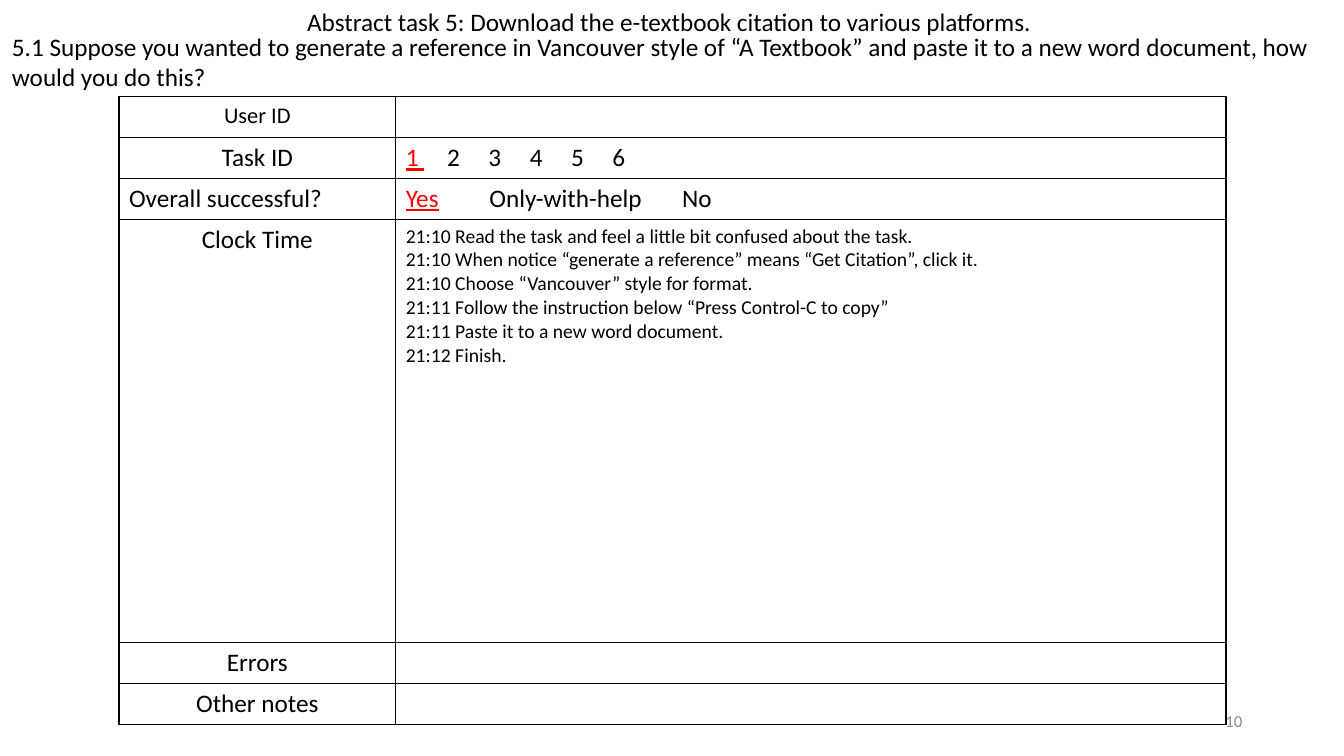
from pptx import Presentation
from pptx.dml.color import RGBColor as RGB
from pptx.enum.text import MSO_ANCHOR as ANCHOR, PP_ALIGN as AL
from pptx.oxml import parse_xml
from pptx.oxml.ns import nsdecls
from pptx.util import Inches, Pt

THEME = dict(font="Calibri", ink=RGB(0, 0, 0), mark=RGB(255, 0, 0), muted=RGB(0x8C, 0x8C, 0x8C),
             body=18, label=16, log=14, page=12, rule=12700)
W, H = Inches(13.33), Inches(7.5)


def add_run(p, text, size="body", color="ink", underline=False):
    r = p.add_run()
    r.text = text
    r.font.name, r.font.size = THEME["font"], Pt(THEME[size])
    r.font.color.rgb = THEME[color]
    if underline:
        r.font.underline = True


def add_text(s, box, text, align, size="body", color="ink", anchor=ANCHOR.TOP):
    tf = s.shapes.add_textbox(*(Inches(v) for v in box)).text_frame
    tf.word_wrap, tf.vertical_anchor = True, anchor
    tf.paragraphs[0].alignment = align
    add_run(tf.paragraphs[0], text, size, color)


prs = Presentation()
prs.slide_width, prs.slide_height = W, H
s = prs.slides.add_slide(prs.slide_layouts[6])

# Table grid: label column is a quarter of the width, the log row is the tall one
LABELS = ["User ID", "Task ID", "Overall successful?", "Clock Time", "Errors", "Other notes"]
ROW, LOG_ROW, TABLE_W = 0.4, 4.2, 10.98
table = s.shapes.add_table(len(LABELS), 2, Inches(1.18), Inches(0.96), Inches(TABLE_W),
                           Inches(ROW * 5 + LOG_ROW)).table
table.first_row = table.horz_banding = False
for col, share in zip(table.columns, (1 / 4, 3 / 4)):
    col.width = Inches(TABLE_W * share)
for row, label in zip(table.rows, LABELS):
    row.height = Inches(LOG_ROW if label == "Clock Time" else ROW)

# Cell borders and clear fills
for cell in table.iter_cells():
    for side in ("lnL", "lnR", "lnT", "lnB"):
        cell._tc.get_or_add_tcPr().append(parse_xml(
            f'<a:{side} {nsdecls("a")} w="{THEME["rule"]}"><a:solidFill>'
            f'<a:srgbClr val="{THEME["ink"]}"/></a:solidFill></a:{side}>'))
    cell.fill.background()

# Row labels
for i, label in enumerate(LABELS):
    p = table.cell(i, 0).text_frame.paragraphs[0]
    p.alignment = AL.LEFT if label == "Overall successful?" else AL.CENTER
    add_run(p, label, "label" if label == "User ID" else "body")

# Choices on tab stops, the first one selected
CHOICES = {1: (["1 ", "2", "3", "4", "5", "6"], [0.41 * n for n in range(1, 6)]),
           2: (["Yes", "Only-with-help", "No"], [0.83, 2.74])}
for i, (options, stops) in CHOICES.items():
    p = table.cell(i, 1).text_frame.paragraphs[0]
    tabs = "".join(f'<a:tab pos="{Inches(x)}" algn="l"/>' for x in stops)
    p._p.get_or_add_pPr().append(parse_xml(f'<a:tabLst {nsdecls("a")}>{tabs}</a:tabLst>'))
    add_run(p, options[0], color="mark", underline=True)
    for option in options[1:]:
        add_run(p, "\t" + option)

# Session log
LOG = ["21:10 Read the task and feel a little bit confused about the task.",
       "21:10 When notice “generate a reference” means “Get Citation”, click it.",
       "21:10 Choose “Vancouver” style for format.",
       "21:11 Follow the instruction below “Press Control-C to copy”",
       "21:11 Paste it to a new word document.",
       "21:12 Finish."]
tf = table.cell(LABELS.index("Clock Time"), 1).text_frame
for n, line in enumerate(LOG):
    add_run(tf.add_paragraph() if n else tf.paragraphs[0], line, "log")

# Task wording, heading and page number
add_text(s, (0.02, 0.26, 13.29, 0.71),
         "5.1 Suppose you wanted to generate a reference in Vancouver style of “A Textbook” "
         "and paste it to a new word document, how would you do this?", AL.LEFT)
add_text(s, (0.02, 0.01, 13.29, 0.4),
         "Abstract task 5: Download the e-textbook citation to various platforms. ", AL.CENTER)
add_text(s, (9.42, 6.95, 3, 0.4), "10", AL.RIGHT, "page", "muted", ANCHOR.MIDDLE)

prs.save("out.pptx")
